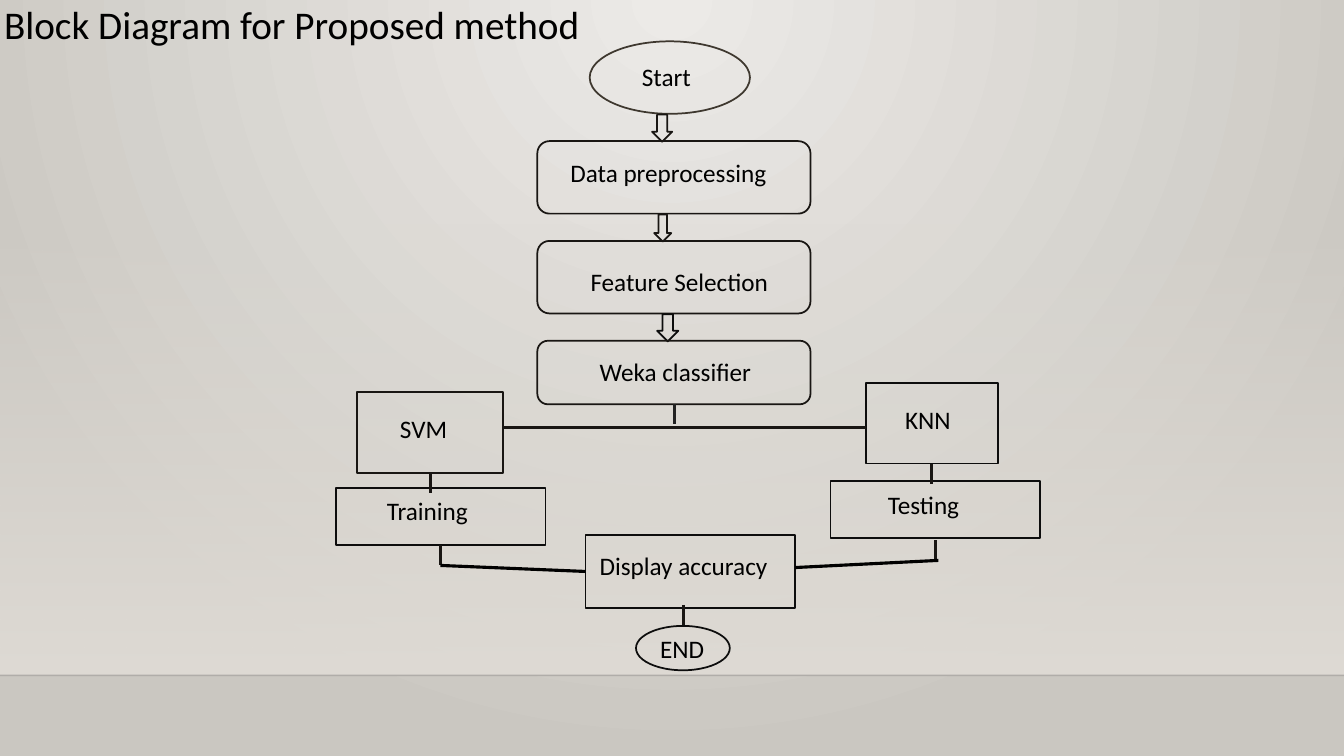
"""Build the flowchart slide of the proposed method."""
from lxml import etree
from pptx import Presentation
from pptx.dml.color import RGBColor
from pptx.enum.shapes import MSO_CONNECTOR, MSO_SHAPE
from pptx.enum.text import MSO_ANCHOR, MSO_AUTO_SIZE, PP_ALIGN
from pptx.oxml.ns import qn
from pptx.util import Pt

OVAL, RECT = MSO_SHAPE.OVAL, MSO_SHAPE.RECTANGLE
ROUND, DOWN = MSO_SHAPE.ROUNDED_RECTANGLE, MSO_SHAPE.DOWN_ARROW
LINE = MSO_CONNECTOR.STRAIGHT
BLACK, DARK, INK = "000000", "191613", "0D0D0D"


def paint(color, code):
    color.rgb = RGBColor.from_string(code)
    return color


def write(shape, text, size):
    frame = shape.text_frame
    frame.word_wrap = True
    frame.auto_size = MSO_AUTO_SIZE.NONE
    frame.vertical_anchor = MSO_ANCHOR.TOP
    para = frame.paragraphs[0]
    para.text = text
    para.alignment = PP_ALIGN.LEFT
    para.font.name = "Calibri"
    para.font.size = Pt(size)
    paint(para.font.color, BLACK)


deck = Presentation()
deck.slide_width, deck.slide_height = Pt(960), Pt(540)
slide = deck.slides.add_slide(deck.slide_layouts[5])
shapes = slide.shapes

back = slide.background.fill
back.gradient()
for stop, code in zip(back.gradient_stops, ("ECEAE7", "CAC7C1")):
    paint(stop.color, code)
lin = slide.element.find(".//" + qn("a:lin"))
glow = etree.Element(qn("a:path"), path="circle")
etree.SubElement(glow, qn("a:fillToRect"), l="43000", t="0", r="43000", b="100000")
lin.getparent().replace(lin, glow)

wall = shapes.add_shape(RECT, 0, Pt(159), Pt(960), Pt(323.4))
wall.shadow.inherit = False
wall.line.fill.background()
wall.fill.gradient()
wall.fill.gradient_angle = 270
for stop in wall.fill.gradient_stops:
    paint(stop.color, "DFDBD5")
clear = wall.element.find(".//" + qn("a:srgbClr"))
etree.SubElement(clear, qn("a:alpha"), val="0")

title = shapes.title
title.left, title.top, title.width, title.height = Pt(-4.3), Pt(-3.6), Pt(481), Pt(41)
write(title, "Block Diagram for Proposed method", 28)

steps = [
    (OVAL, 421.2, 29.5, 114.5, 51.8, "3E382F"),
    (RECT, 254.9, 280.1, 104.4, 57.6, DARK),
    (RECT, 618.5, 273.6, 94.3, 57.6, INK),
    (RECT, 239.8, 348.5, 149.8, 41, INK),
    (RECT, 593.3, 343.4, 149.8, 41, INK),
    (RECT, 418.3, 382.3, 149.8, 51.8, INK),
    (OVAL, 454.3, 447.1, 67, 31.7, INK),
]
arrows = [(465.8, 14.4, 51.8, DARK), (467.3, 12.2, 51.8, DARK), (469.4, 15.1, 45.4, INK)]
for i, (left, wide, high, code) in enumerate(arrows):
    top = 100.8 + 71.3 * i
    steps.append((DOWN, left, top - 18.9, wide, 19.4, code))
    steps.append((ROUND, 383.8, top, 195.1, high, DARK))
for kind, left, top, wide, high, code in steps:
    step = shapes.add_shape(kind, Pt(left), Pt(top), Pt(wide), Pt(high))
    step.shadow.inherit = False
    step.fill.background()
    step.line.width = Pt(1.25)
    paint(step.line.color, code)

stubs = [
    (481.7, 288.7, "222222"), (307.4, 337.7, DARK), (665.3, 331.2, DARK),
    (314.6, 389.5, DARK), (668.2, 385.9, DARK), (488.2, 432, DARK),
]
links = [(x, y, x, y + 14.4, code, 2.25) for x, y, code in stubs]
links += [
    (359.3, 305.3, 618.5, 305.3, DARK, 2.25),
    (314.6, 403.9, 418.3, 408.2, BLACK, 2.25),
    (568.1, 405.4, 670.3, 400.3, BLACK, 2.25),
    (0, 482.4, 960, 482.4, "000001", 1),
]
for x, y, to_x, to_y, code, width in links:
    link = shapes.add_connector(LINE, Pt(x), Pt(y), Pt(to_x), Pt(to_y))
    link.line.width = Pt(width)
    paint(link.line.color, code)
    etree.SubElement(link.element.spPr, qn("a:effectLst"))
faint = link.element.find(".//" + qn("a:srgbClr"))
etree.SubElement(faint, qn("a:alpha"), val="20000")

labels = [
    ("Start", 451.4, 40.3, 55.4),
    ("Data preprocessing", 400.3, 108.7, 173.5),
    ("Feature Selection", 414.7, 186.5, 150.5),
    ("Weka classifier", 421.2, 250.6, 169.9),
    ("SVM", 278.6, 291.6, 82.1),
    ("KNN", 639.4, 285.1, 94.3),
    ("Training", 269.3, 350.6, 121),
    ("Testing", 627.1, 345.6, 94.3),
    ("Display accuracy", 421.2, 389.5, 136.8),
    ("END", 464.4, 448.6, 67.7),
]
for text, left, top, wide in labels:
    label = shapes.add_textbox(Pt(left), Pt(top), Pt(wide), Pt(29))
    write(label, text, 18)

deck.save("out.pptx")
